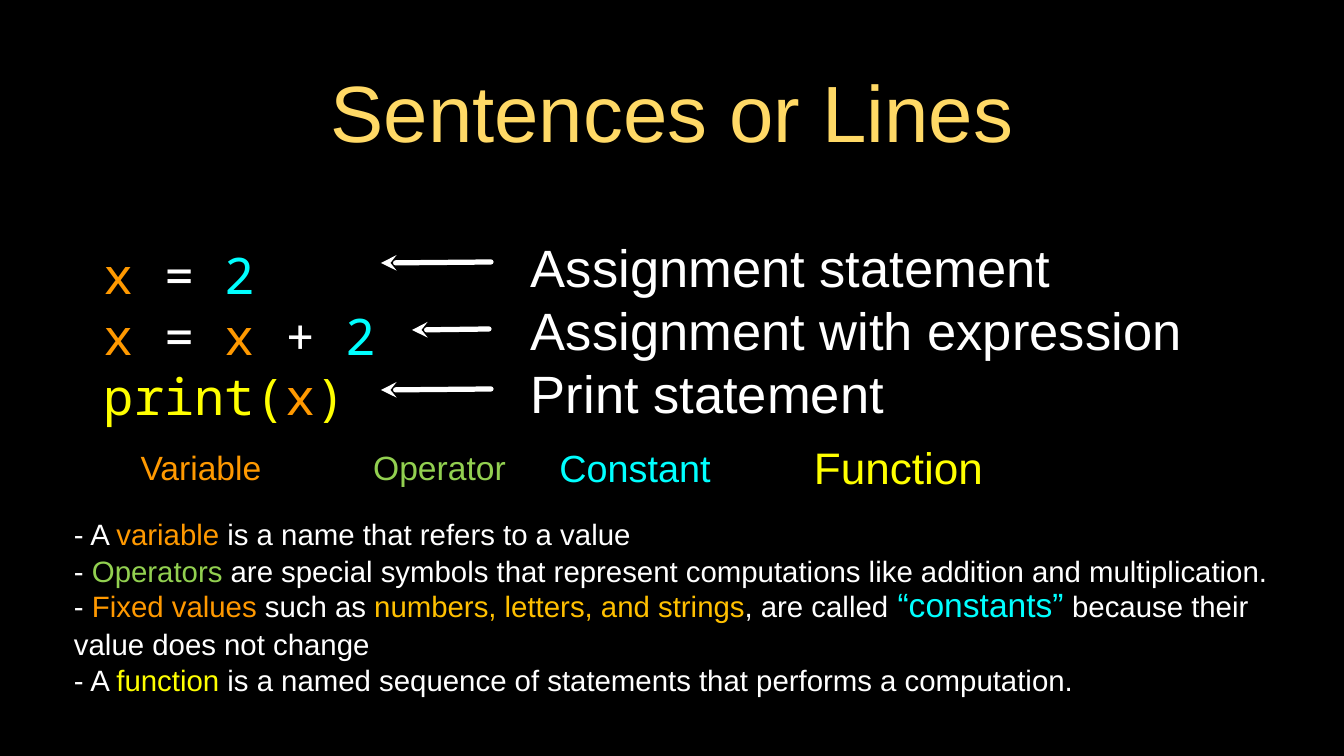
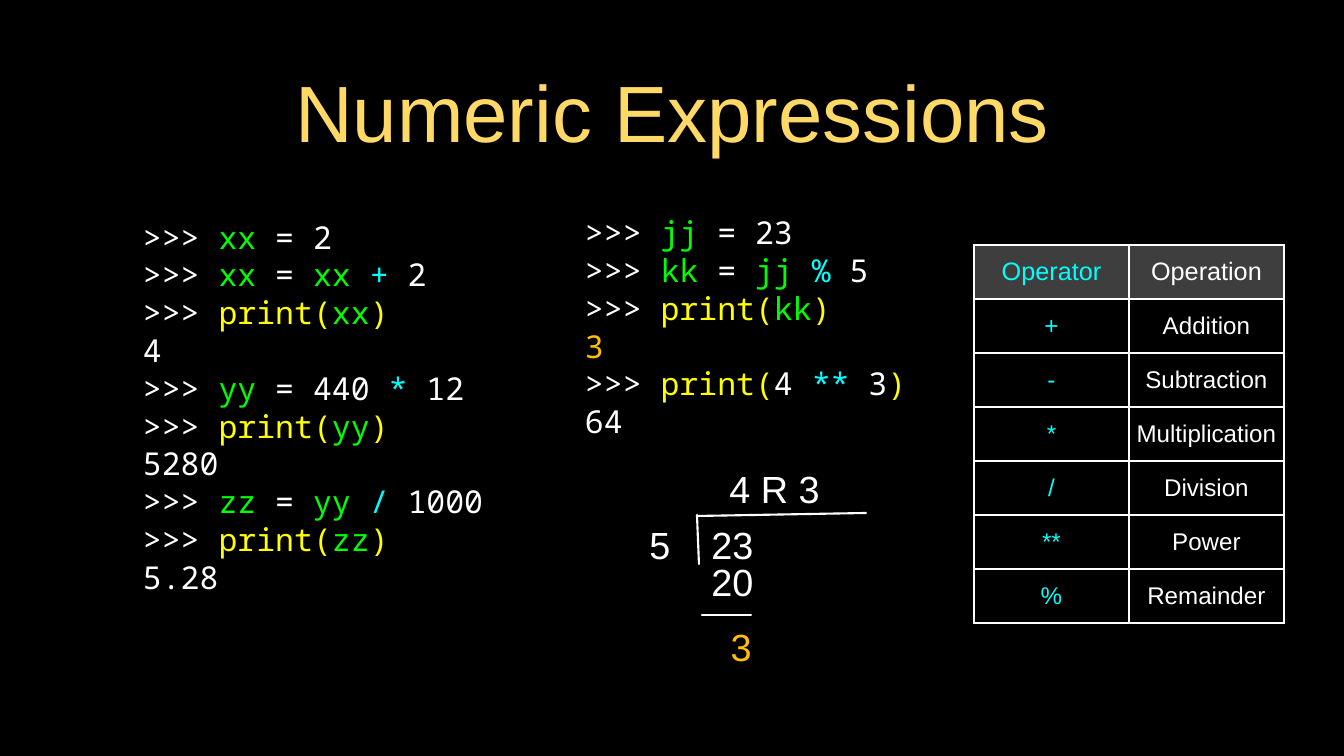
import pptx
import pptx.util
import pptx.dml.color
import pptx.enum.shapes
import pptx.enum.text
import pptx.oxml.ns
import lxml.etree

RGBColor = pptx.dml.color.RGBColor
BLACK = RGBColor(0x00, 0x00, 0x00)
WHITE = RGBColor(0xFF, 0xFF, 0xFF)
GOLD = RGBColor(0xFF, 0xD9, 0x66)
ORANGE = RGBColor(0xFF, 0x99, 0x00)
AMBER = RGBColor(0xFF, 0xC0, 0x00)
YELLOW = RGBColor(0xFF, 0xFF, 0x00)
CYAN = RGBColor(0x00, 0xFF, 0xFF)
LEAF = RGBColor(0x92, 0xD0, 0x50)
GREEN = RGBColor(0x00, 0xFF, 0x00)
GRAY = RGBColor(0x7F, 0x7F, 0x7F)
SANS, MONO = "Arial", "Noto Sans Mono"
MIDDLE = pptx.enum.text.MSO_ANCHOR.MIDDLE
TOP = pptx.enum.text.MSO_ANCHOR.TOP
LEFT, CENTER = pptx.enum.text.PP_ALIGN.LEFT, pptx.enum.text.PP_ALIGN.CENTER
SCALE = 914400 / 75.6
CELL_MARGIN = 3


PROMPT = (">>> ", WHITE)


def print_call(*spans):
    return [PROMPT, ("print(", YELLOW), *spans, (")", YELLOW)]


def assign(name, *spans):
    return [PROMPT, (name, GREEN), (" = ", WHITE), *spans]


SENTENCES = [
    [("x ", ORANGE), ("= ", WHITE), ("2", CYAN)],
    [("x ", ORANGE), ("= ", WHITE), ("x ", ORANGE), ("+ ", WHITE), ("2", CYAN)],
    [("print(", YELLOW), ("x", ORANGE), (")", YELLOW)],
]
STATEMENTS = [
    [("Assignment statement", WHITE)],
    [("Assignment with expression", WHITE)],
    [("Print statement", WHITE)],
]
STATEMENT_ARROWS = [(381, 263, 491, 262), (412, 330, 489, 329), (381, 390, 491, 389)]
TERMS = [
    ("Variable", ORANGE, 32, 104, 194),
    ("Operator", LEAF, 32, 349, 181),
    ("Constant", CYAN, 36, 538, 194),
    ("Function", YELLOW, 42, 754, 289),
]
DEFINITIONS = [
    [("- A ", WHITE), ("variable ", ORANGE), ("is a name that refers to a value", WHITE)],
    [("- ", WHITE), ("Operators ", LEAF),
     ("are special symbols that represent computations like addition and multiplication.", WHITE)],
    [("-", WHITE), (" Fixed values ", ORANGE), ("such as ", WHITE),
     ("numbers, letters, and strings", AMBER), (", are called", WHITE),
     (" “constants”", CYAN, 32), (" because their value does not change", WHITE)],
    [("- A ", WHITE), ("function ", YELLOW),
     ("is a named sequence of statements that performs a computation.", WHITE)],
]
ARITHMETIC = [
    assign("xx", ("2", WHITE)),
    assign("xx", ("xx ", GREEN), ("+", CYAN), (" 2", WHITE)),
    print_call(("xx", GREEN)),
    [("4", WHITE)],
    assign("yy", ("440 ", WHITE), ("*", CYAN), (" 12", WHITE)),
    print_call(("yy", GREEN)),
    [("5280", WHITE)],
    assign("zz", ("yy ", GREEN), ("/", CYAN), (" 1000", WHITE)),
    print_call(("zz", GREEN)),
    [("5.28", WHITE)],
]
REMAINDER_AND_POWER = [
    assign("jj", ("23", WHITE)),
    assign("kk", ("jj ", GREEN), ("% ", CYAN), ("5", WHITE)),
    print_call(("kk", GREEN)),
    [("3", AMBER)],
    print_call(("4 ", WHITE), ("** ", CYAN), ("3", WHITE)),
    [("64", WHITE)],
]
DIVISION_NUMBERS = [
    ("5", WHITE, 646, 519, 28),
    ("23", WHITE, 709, 519, 47),
    ("4 R 3", WHITE, 728, 463, 93),
    ("20", WHITE, 709, 556, 47),
    ("3", AMBER, 727, 621, 28),
]
DIVISION_LINES = [(697, 515, 699, 564), (697, 516, 866, 513), (702, 615, 751, 615)]
OPERATIONS = [
    ("Operator", "Operation"),
    ("+", "Addition"),
    ("-", "Subtraction"),
    ("*", "Multiplication"),
    ("/", "Division"),
    ("**", "Power"),
    ("%", "Remainder"),
]


def px(value):
    return pptx.util.Emu(round(value * SCALE))


def child(parent, tag, **attributes):
    return lxml.etree.SubElement(parent, pptx.oxml.ns.qn(tag), attributes)


def write(frame, lines, size, font=SANS, align=LEFT, leading=None):
    for index, spans in enumerate(lines):
        para = frame.paragraphs[0] if index == 0 else frame.add_paragraph()
        para.alignment = align
        if leading:
            para.line_spacing = pptx.util.Pt(leading)
        for text, color, *own_size in spans:
            span = para.add_run()
            span.text = text
            span.font.name = font
            span.font.size = pptx.util.Pt(own_size[0] if own_size else size)
            span.font.color.rgb = color


def add_text(page, place, lines, size, margin=0, anchor=MIDDLE, **style):
    box = page.shapes.add_textbox(*map(px, place))
    frame = box.text_frame
    frame.word_wrap = True
    frame.vertical_anchor = anchor
    frame.margin_left = frame.margin_right = px(margin)
    frame.margin_top = frame.margin_bottom = px(margin)
    write(frame, lines, size, **style)
    return box


def add_code(page, place, lines, size):
    box = add_text(page, place, lines, size, font=MONO, leading=size * 1.2)
    box.text_frame.margin_top = pptx.util.Pt(size * 0.2)


def add_line(page, ends, width, arrow=False):
    line = page.shapes.add_connector(pptx.enum.shapes.MSO_CONNECTOR.STRAIGHT, *map(px, ends))
    line.line.color.rgb = WHITE
    line.line.width = pptx.util.Pt(width)
    outline = line.line._get_or_add_ln()
    outline.set("cap", "rnd")
    if arrow:
        child(outline, "a:headEnd", type="stealth")
    child(line._element.spPr, "a:effectLst")


def border_cell(cell):
    properties = cell._tc.get_or_add_tcPr()
    for position, side in enumerate(("a:lnL", "a:lnR", "a:lnT", "a:lnB")):
        edge = child(properties, side, w=str(pptx.util.Pt(2)))
        child(child(edge, "a:solidFill"), "a:srgbClr", val=str(WHITE))
        properties.insert(position, edge)


def add_operations(page, left, top, column_width, row_height):
    count = len(OPERATIONS)
    table = page.shapes.add_table(
        count, 2, *map(px, (left, top, 2 * column_width, count * row_height))).table
    for column in table.columns:
        column.width = px(column_width)
    for row_index, texts in enumerate(OPERATIONS):
        table.rows[row_index].height = px(row_height)
        for cell, text, color in zip(table.rows[row_index].cells, texts, (CYAN, WHITE)):
            cell.vertical_anchor = MIDDLE
            cell.margin_left = cell.margin_right = px(CELL_MARGIN)
            cell.margin_top = cell.margin_bottom = px(CELL_MARGIN)
            write(cell.text_frame, [[(text, color)]], 23 if row_index else 24, align=CENTER)
            if row_index:
                cell.fill.background()
            else:
                cell.fill.solid()
                cell.fill.fore_color.rgb = GRAY
                shade = cell._tc.tcPr.find(".//" + pptx.oxml.ns.qn("a:srgbClr"))
                child(shade, "a:alpha", val="49000")
            border_cell(cell)


def add_page(deck, title):
    page = deck.slides.add_slide(deck.slide_layouts[6])
    page.background.fill.solid()
    page.background.fill.fore_color.rgb = BLACK
    add_text(page, (67, 65, 1210, 91), [[(title, GOLD)]], 76, margin=3, align=CENTER)
    return page


deck = pptx.Presentation()
deck.slide_width, deck.slide_height = px(1344), px(756)

page = add_page(deck, "Sentences or Lines")
add_code(page, (104, 163, 331, 334), SENTENCES, 48)
for text, color, size, left, width in TERMS:
    add_text(page, (left, 437, width, 60), [[(text, color)]], size, align=CENTER)
add_text(page, (531, 163, 734, 334), STATEMENTS, 50, leading=60)
for ends in STATEMENT_ARROWS:
    add_line(page, ends, 5, arrow=True)
add_text(page, (67, 508, 1210, 262), DEFINITIONS, 28, margin=7, anchor=TOP, leading=34.8)

page = add_page(deck, "Numeric Expressions")
add_code(page, (143, 184, 369, 439), ARITHMETIC, 30)
add_code(page, (585, 190, 333, 267), REMAINDER_AND_POWER, 30)
add_operations(page, 974, 245, 155, 54)
for ends in DIVISION_LINES:
    add_line(page, ends, 2)
for text, color, left, top, width in DIVISION_NUMBERS:
    add_text(page, (left, top, width, 51), [[(text, color)]], 36, align=CENTER)

deck.save("out.pptx")
